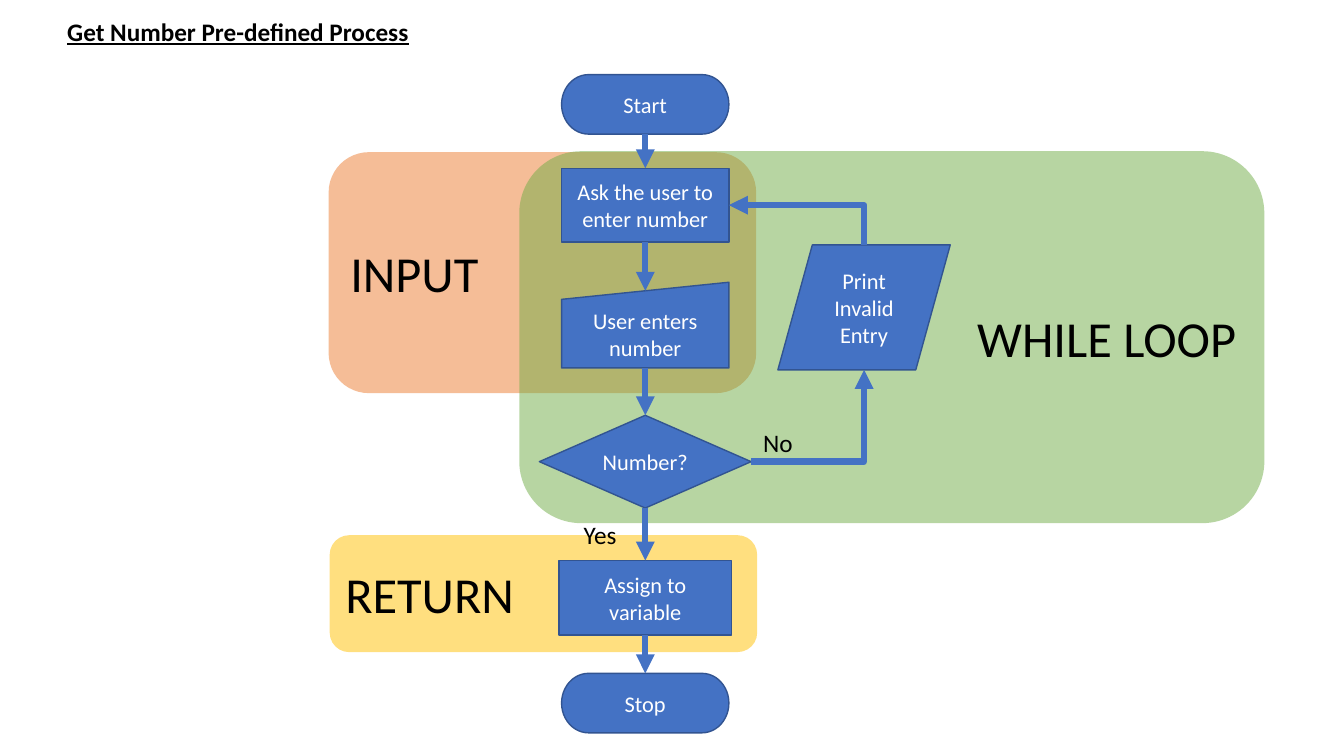
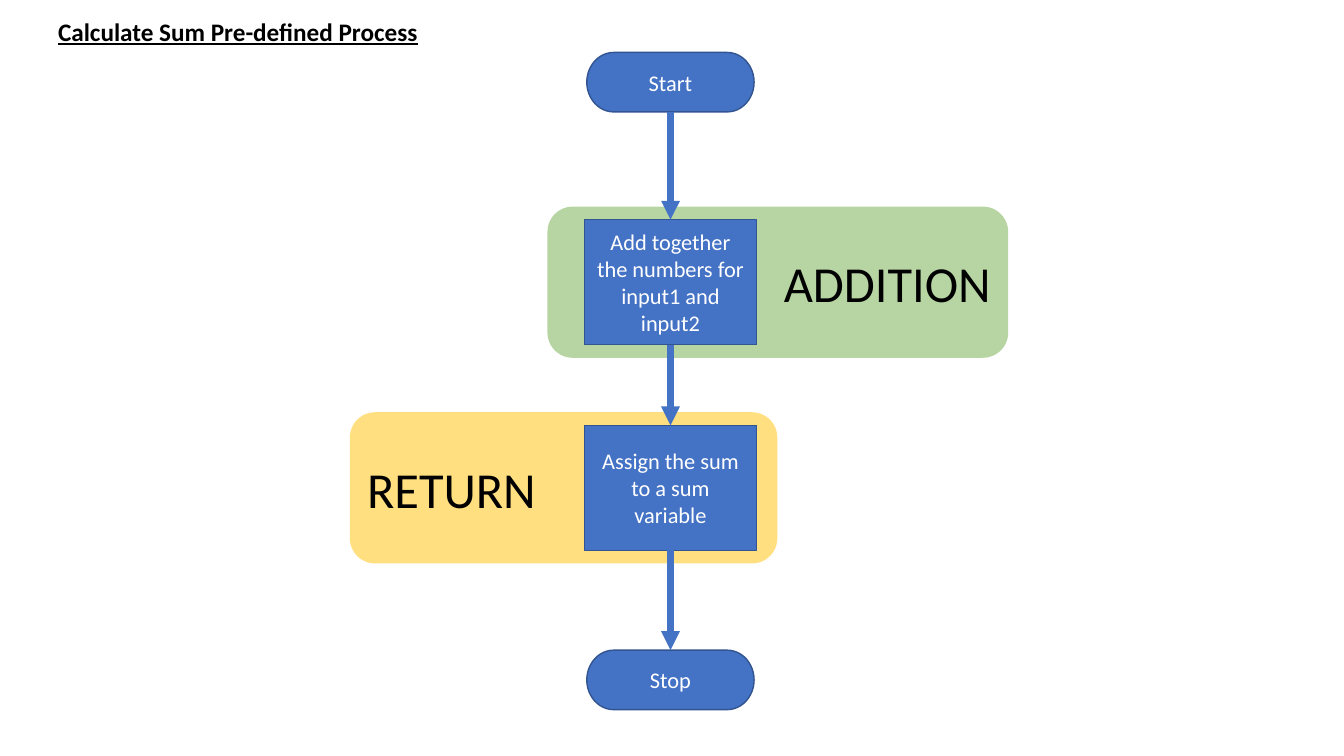
from dataclasses import dataclass

from lxml.etree import SubElement
from pptx import Presentation
from pptx.dml.color import RGBColor
from pptx.enum.shapes import MSO_CONNECTOR, MSO_SHAPE
from pptx.enum.text import MSO_ANCHOR, MSO_AUTO_SIZE, PP_ALIGN
from pptx.oxml.ns import qn
from pptx.util import Inches, Pt


@dataclass(frozen=True)
class Theme:
    font: str = "Calibri"
    step_fill: RGBColor = RGBColor(0x44, 0x72, 0xC4)
    step_line: RGBColor = RGBColor(0x32, 0x54, 0x91)
    step_text: RGBColor = RGBColor(0xFF, 0xFF, 0xFF)
    text: RGBColor = RGBColor(0x00, 0x00, 0x00)
    input_zone: RGBColor = RGBColor(0xED, 0x7D, 0x31)
    work_zone: RGBColor = RGBColor(0x70, 0xAD, 0x47)
    return_zone: RGBColor = RGBColor(0xFF, 0xC0, 0x00)
    zone_opacity: int = 50
    zone_size: int = 36
    title_size: int = 18
    label_size: int = 18
    step_size: int = 16
    outline_width: int = 1
    arrow_width: float = 4.5


class Flowchart:
    """Draws flowcharts whose main steps share one vertical axis per slide."""

    def __init__(self, presentation, theme):
        self.presentation = presentation
        self.theme = theme
        self.slide = None
        self.axis = None

    def new_slide(self, title, axis):
        self.slide = self.presentation.slides.add_slide(self.presentation.slide_layouts[6])
        self.axis = axis
        box = self.text_box(title, 0.42, 0.11, 3.88, wrap=True)
        self.set_text(box, title, self.theme.title_size, self.theme.text, PP_ALIGN.CENTER)
        font = box.text_frame.paragraphs[0].runs[0].font
        font.bold = font.underline = True

    def set_text(self, shape, text, size, color, alignment):
        shape.text_frame.text = text
        paragraph = shape.text_frame.paragraphs[0]
        paragraph.alignment = alignment
        font = paragraph.runs[0].font
        font.name = self.theme.font
        font.size = Pt(size)
        font.color.rgb = color

    def text_box(self, text, left, top, width, wrap=False):
        box = self.slide.shapes.add_textbox(
            Inches(left), Inches(top), Inches(width), Inches(0.4))
        box.text_frame.word_wrap = wrap
        box.text_frame.auto_size = MSO_AUTO_SIZE.SHAPE_TO_FIT_TEXT
        self.set_text(box, text, self.theme.label_size, self.theme.text, PP_ALIGN.LEFT)
        return box

    def filled_shape(self, kind, left, top, width, height, color):
        shape = self.slide.shapes.add_shape(
            kind, Inches(left), Inches(top), Inches(width), Inches(height))
        shape.shadow.inherit = False
        shape.fill.solid()
        shape.fill.fore_color.rgb = color
        shape.text_frame.word_wrap = True
        shape.text_frame.vertical_anchor = MSO_ANCHOR.MIDDLE
        return shape

    def zone(self, text, left, top, width, height, color, alignment=PP_ALIGN.LEFT):
        """Add a translucent rounded area that groups steps."""
        shape = self.filled_shape(
            MSO_SHAPE.ROUNDED_RECTANGLE, left, top, width, height, color)
        fill_color = shape._element.spPr.find(f"{qn('a:solidFill')}/{qn('a:srgbClr')}")
        SubElement(fill_color, qn("a:alpha"), val=str(self.theme.zone_opacity * 1000))
        shape.line.fill.background()
        self.set_text(shape, text, self.theme.zone_size, self.theme.text, alignment)

    def step(self, kind, text, top, width, height, center=None):
        """Add a step centred on the slide's axis unless a centre is given."""
        left = (self.axis if center is None else center) - width / 2
        shape = self.filled_shape(kind, left, top, width, height, self.theme.step_fill)
        shape.line.color.rgb = self.theme.step_line
        shape.line.width = Pt(self.theme.outline_width)
        self.set_text(
            shape, text, self.theme.step_size, self.theme.step_text, PP_ALIGN.CENTER)
        return shape

    def terminator(self, text, top):
        return self.step(MSO_SHAPE.FLOWCHART_TERMINATOR, text, top, 1.66, 0.59)

    def process(self, text, top, width=1.71, height=1.24):
        return self.step(MSO_SHAPE.FLOWCHART_PROCESS, text, top, width, height)

    def connector(self, kind, start, end):
        connector = self.slide.shapes.add_connector(kind, *start, *end)
        connector.line.color.rgb = self.theme.step_fill
        connector.line.width = Pt(self.theme.arrow_width)
        properties = connector._element.spPr
        SubElement(properties.find(qn("a:ln")), qn("a:tailEnd"), type="triangle")
        SubElement(properties, qn("a:effectLst"))
        return connector

    def chain(self, *steps):
        """Join each step to the next one below it."""
        axis = Inches(self.axis)
        for upper, lower in zip(steps, steps[1:]):
            arrow = self.connector(
                MSO_CONNECTOR.STRAIGHT, (axis, upper.top + upper.height), (axis, lower.top))
            arrow.begin_connect(upper, 2)
            arrow.end_connect(lower, 0)
            if lower.auto_shape_type == MSO_SHAPE.FLOWCHART_MANUAL_INPUT:
                # The slanted top lies a tenth of the height down at its middle.
                arrow.end_y = lower.top + lower.height // 10

    def elbow(self, start, end, vertical_first=False):
        """Add a one-bend arrow: up and right, or up and left if vertical first."""
        (start_x, start_y), (end_x, end_y) = start, end
        if vertical_first:
            middle_x, middle_y = (start_x + end_x) // 2, (start_y + end_y) // 2
            half_width, half_height = (start_y - end_y) // 2, (start_x - end_x) // 2
            start = middle_x - half_width, middle_y + half_height
            end = middle_x + half_width, middle_y - half_height
        arrow = self.connector(MSO_CONNECTOR.ELBOW, start, end)
        arrow._element.spPr.find(qn("a:prstGeom")).set("prst", "bentConnector2")
        if vertical_first:
            arrow.rotation = 270


def middle_right(shape):
    return shape.left + shape.width, shape.top + shape.height // 2


def draw_get_number(chart):
    theme = chart.theme
    chart.new_slide("Get Number Pre-defined Process", axis=6.4)
    chart.zone("RETURN", 3.27, 5.31, 4.24, 1.16, theme.return_zone)
    chart.zone("INPUT", 3.26, 1.51, 4.24, 2.39, theme.input_zone)
    chart.zone("WHILE LOOP", 5.15, 1.5, 7.39, 3.69, theme.work_zone, PP_ALIGN.RIGHT)

    start = chart.terminator("Start", 0.74)
    ask = chart.process("Ask the user to enter number", 1.67, 1.66, 0.73)
    enter = chart.step(
        MSO_SHAPE.FLOWCHART_MANUAL_INPUT, "User enters number", 2.8, 1.66, 0.85)
    decision = chart.step(MSO_SHAPE.FLOWCHART_DECISION, "Number?", 4.12, 2.1, 0.92)
    assign = chart.process("Assign to variable", 5.56, height=0.74)
    stop = chart.terminator("Stop", 6.68)
    invalid = chart.step(
        MSO_SHAPE.FLOWCHART_DATA, "Print Invalid Entry", 2.43, 1.71, 1.24, center=8.57)

    chart.chain(start, ask, enter, decision, assign, stop)
    invalid_x = invalid.left + invalid.width // 2
    chart.elbow(middle_right(decision), (invalid_x, invalid.top + invalid.height))
    chart.elbow((invalid_x, invalid.top), middle_right(ask), vertical_first=True)
    chart.text_box("No", 7.47, 4.19, 0.5)
    chart.text_box("Yes", 5.69, 5.1, 0.53)


def draw_calculate_sum(chart):
    theme = chart.theme
    chart.new_slide("Calculate Sum Pre-defined Process", axis=6.65)
    chart.zone("RETURN", 3.47, 4.09, 4.24, 1.5, theme.return_zone)
    chart.zone("ADDITION", 5.43, 2.05, 4.57, 1.5, theme.work_zone, PP_ALIGN.RIGHT)
    chart.chain(
        chart.terminator("Start", 0.52),
        chart.process("Add together the numbers for input1 and input2", 2.18),
        chart.process("Assign the sum to a sum variable", 4.22),
        chart.terminator("Stop", 6.45),
    )


def main():
    presentation = Presentation()
    presentation.slide_width = Inches(13.33)
    presentation.slide_height = Inches(7.5)
    chart = Flowchart(presentation, Theme())
    draw_get_number(chart)
    draw_calculate_sum(chart)
    presentation.save("out.pptx")


if __name__ == "__main__":
    main()
